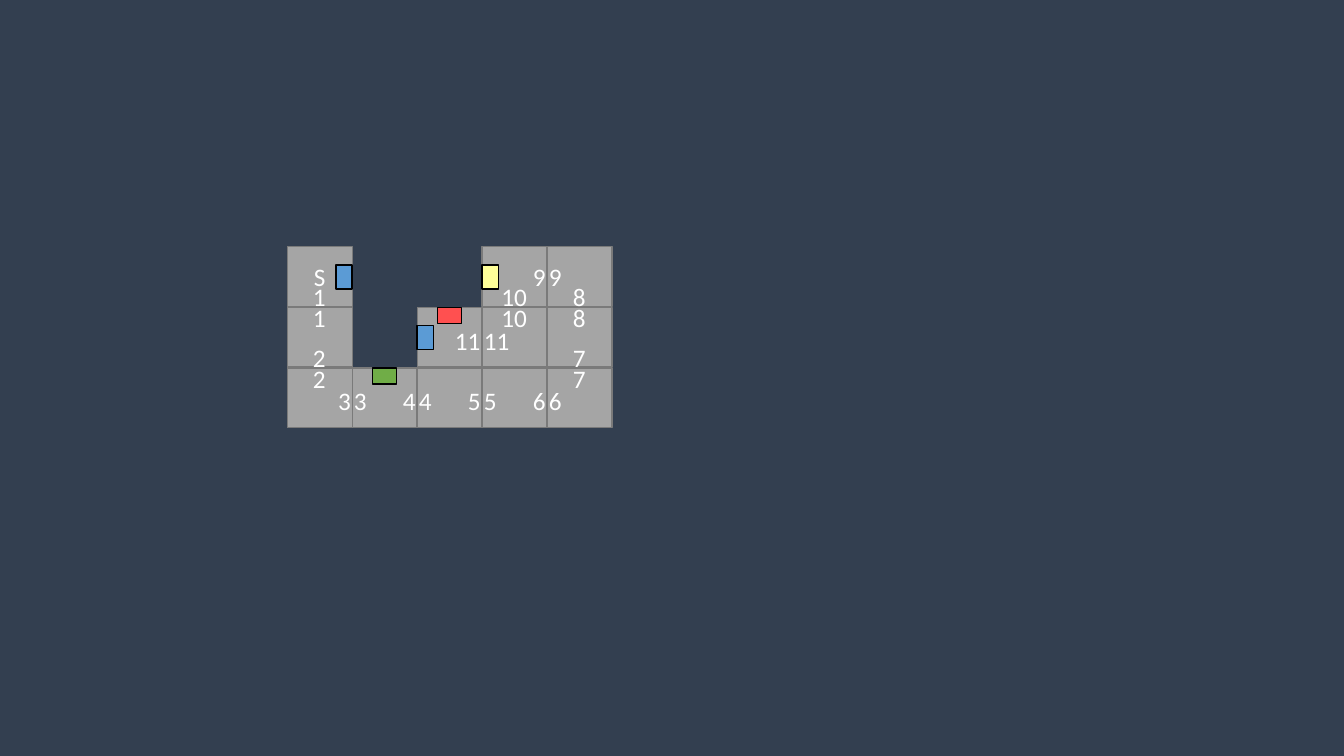
from pptx import Presentation
from pptx.dml.color import RGBColor
from pptx.enum.shapes import MSO_SHAPE
from pptx.enum.text import MSO_ANCHOR, MSO_AUTO_SIZE, PP_ALIGN
from pptx.util import Pt

LEFT, TOP = 205.2, 176.2
TILE_W, TILE_H = 46.4, 43.3
DOOR_W, DOOR_H = 17.3, 11.5
LABEL_H = 29.1

# (column, row): numbers by side of the tile
ROOMS = {
    (0, 0): {"bottom": "1"},
    (0, 1): {"top": "1", "bottom": "2"},
    (0, 2): {"top": "2", "right": "3"},
    (1, 2): {"left": "3", "right": "4"},
    (2, 2): {"left": "4", "right": "5"},
    (3, 2): {"left": "5", "right": "6"},
    (4, 2): {"left": "6", "top": "7"},
    (4, 1): {"bottom": "7", "top": "8"},
    (4, 0): {"bottom": "8", "left": "9"},
    (3, 0): {"right": "9", "bottom": "10"},
    (3, 1): {"top": "10", "left": "11"},
    (2, 1): {"right": "11"},
}
DOORS = [
    (0, 0, "right", "5B9BD5"),
    (1, 2, "top", "70AD47"),
    (3, 0, "left", "FFFF99"),
    (2, 1, "left", "5B9BD5"),
    (2, 1, "top", "FF5050"),
]


def rgb(value):
    return RGBColor.from_string(value)


def tile_corner(col, row):
    return LEFT + col * TILE_W, TOP + row * TILE_H


def add_box(slide, x, y, w, h, fill, line):
    sp = slide.shapes.add_shape(MSO_SHAPE.RECTANGLE, Pt(x), Pt(y), Pt(w), Pt(h))
    sp.shadow.inherit = False
    sp.fill.solid()
    sp.fill.fore_color.rgb = rgb(fill)
    sp.line.color.rgb = rgb(line)
    sp.line.width = Pt(1)
    return sp


def add_run(p, text):
    r = p.add_run()
    r.text = text
    r.font.size = Pt(18)
    r.font.name = "Calibri"
    r.font.color.rgb = rgb("FFFFFF")


def add_tile(slide, col, row):
    x, y = tile_corner(col, row)
    return add_box(slide, x, y, TILE_W, TILE_H - 0.6, "A5A5A5", "7A7A7A")


def add_label(slide, col, row, side, text):
    """Put a number just inside one side of a tile."""
    x, y = tile_corner(col, row)
    w = 23.8 if len(text) == 1 else 33.1
    centre_x = x + (TILE_W - w) / 2
    side_y = y + (7 if row == 0 else 9)
    left, top = {
        "top": (centre_x, y - 6.8),
        "bottom": (centre_x, y + 21.2),
        "left": (x - 5.8, side_y),
        "right": (x + 53 - w, side_y),
    }[side]
    sp = slide.shapes.add_textbox(Pt(left), Pt(top), Pt(w), Pt(LABEL_H))
    tf = sp.text_frame
    tf.word_wrap = False
    tf.auto_size = MSO_AUTO_SIZE.SHAPE_TO_FIT_TEXT
    add_run(tf.paragraphs[0], text)


def add_door(slide, col, row, side, color):
    """Lay a door along the inside of one side of a tile."""
    x, y = tile_corner(col, row)
    centre_x, centre_y = {
        "top": (x + TILE_W / 2, y + DOOR_H / 2),
        "left": (x + DOOR_H / 2, y + TILE_H / 2),
        "right": (x + TILE_W - DOOR_H / 2, y + TILE_H / 2),
    }[side]
    sp = add_box(slide, centre_x - DOOR_W / 2, centre_y - DOOR_H / 2,
                 DOOR_W, DOOR_H, color, "000000")
    if side != "top":
        sp.rotation = 270


def main():
    prs = Presentation()
    prs.slide_width, prs.slide_height = Pt(960), Pt(540)
    slide = prs.slides.add_slide(prs.slide_layouts[6])
    slide.background.fill.solid()
    slide.background.fill.fore_color.rgb = rgb("333F50")

    tiles = {room: add_tile(slide, *room) for room in ROOMS}
    tf = tiles[0, 0].text_frame
    tf.vertical_anchor = MSO_ANCHOR.MIDDLE
    p = tf.paragraphs[0]
    p.alignment = PP_ALIGN.CENTER
    add_run(p, "S")

    for (col, row), labels in ROOMS.items():
        for side, text in labels.items():
            add_label(slide, col, row, side, text)
    for door in DOORS:
        add_door(slide, *door)
    prs.save("out.pptx")


if __name__ == "__main__":
    main()
